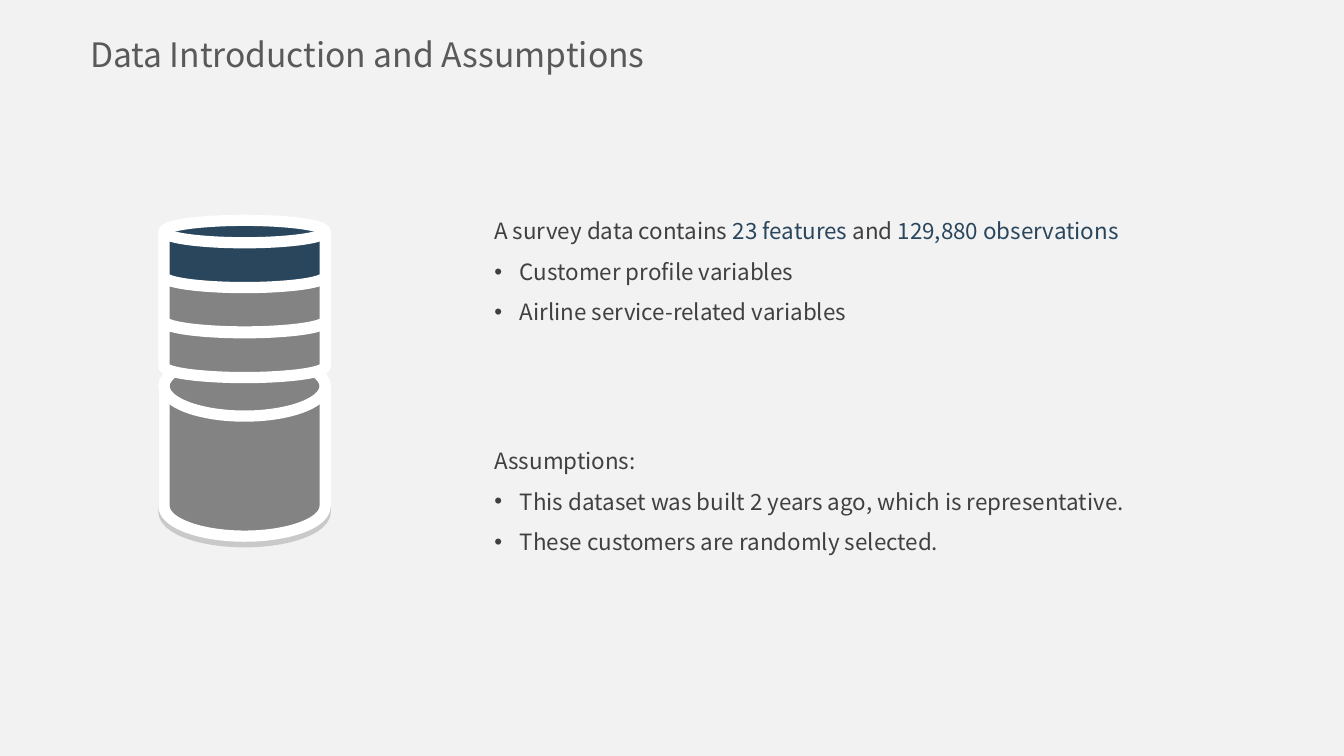
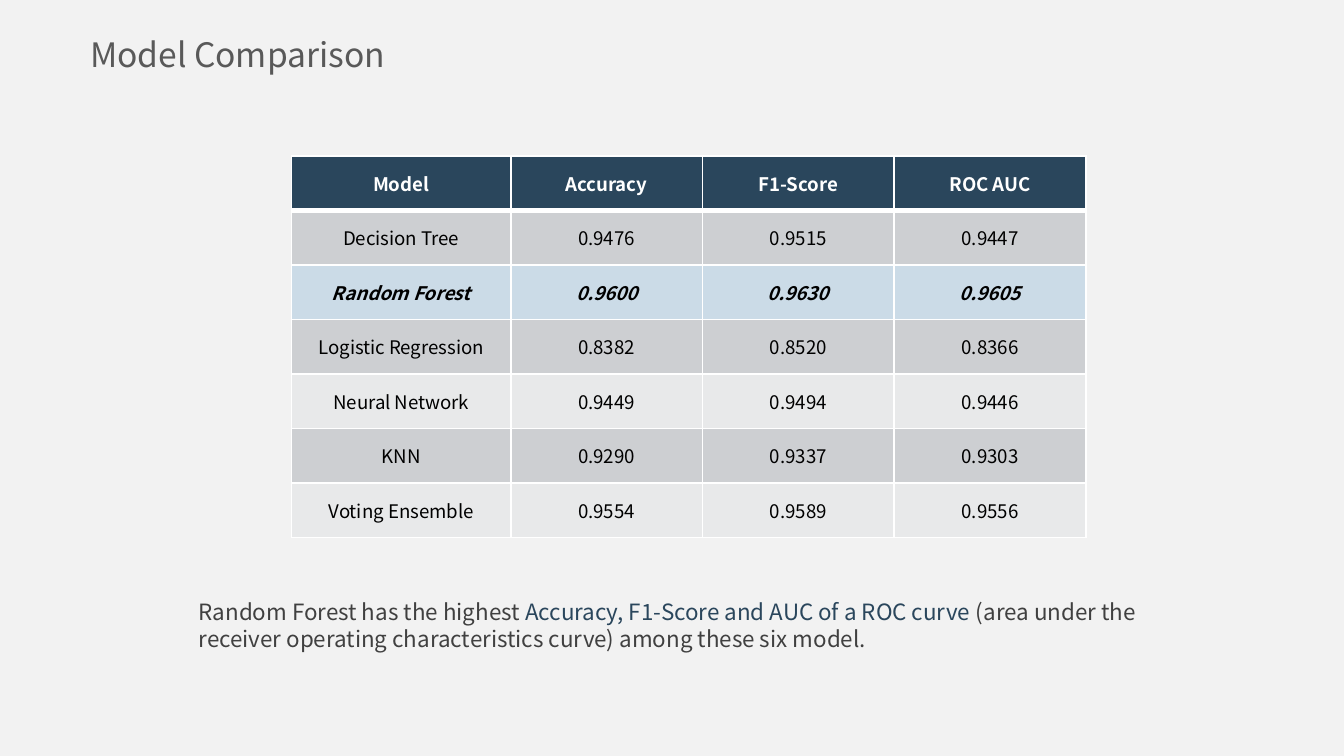
from lxml import etree
from pptx import Presentation
from pptx.dml.color import RGBColor
from pptx.enum.shapes import MSO_SHAPE
from pptx.enum.text import MSO_ANCHOR, PP_ALIGN
from pptx.oxml.ns import qn
from pptx.util import Inches, Pt

DISK = MSO_SHAPE.FLOWCHART_MAGNETIC_DISK
MIDDLE = MSO_ANCHOR.MIDDLE
CENTER = PP_ALIGN.CENTER

FONT = "Noto Sans CJK SC"
PAPER = RGBColor(0xF2, 0xF2, 0xF2)
TITLE_GRAY = RGBColor(0x59, 0x59, 0x59)
TEXT_GRAY = RGBColor(0x40, 0x40, 0x40)
DISK_GRAY = RGBColor(0x83, 0x83, 0x83)
NAVY = RGBColor(0x2A, 0x46, 0x5C)
WHITE = RGBColor(0xFF, 0xFF, 0xFF)
BLACK = RGBColor(0x00, 0x00, 0x00)
BAND_DARK = RGBColor(0xCD, 0xCF, 0xD2)
BAND_LIGHT = RGBColor(0xE8, 0xE9, 0xEA)
BEST_BLUE = RGBColor(0xCB, 0xDB, 0xE7)

DATA_TITLE = "Data Introduction and Assumptions"
# Each paragraph is a list of (words, colour) pieces.
SURVEY_LEAD = [
    ("A survey data contains ", TEXT_GRAY),
    ("23 features ", NAVY),
    ("and ", TEXT_GRAY),
    ("129,880 observations", NAVY),
]
SURVEY_POINTS = ["Customer profile variables", "Airline service-related variables"]
ASSUMPTION_LEAD = [("Assumptions:", TEXT_GRAY)]
ASSUMPTION_POINTS = [
    "This dataset was built 2 years ago, which is representative.",
    "These customers are randomly selected.",
]

MODEL_TITLE = "Model Comparison"
SCORES = [
    ("Model", "Accuracy", "F1-Score", "ROC AUC"),
    ("Decision Tree", "0.9476", "0.9515", "0.9447"),
    ("Random Forest", "0.9600", "0.9630", "0.9605"),
    ("Logistic Regression", "0.8382", "0.8520", "0.8366"),
    ("Neural Network", "0.9449", "0.9494", "0.9446"),
    ("KNN", "0.9290", "0.9337", "0.9303"),
    ("Voting Ensemble", "0.9554", "0.9589", "0.9556"),
]
BEST_MODEL = "Random Forest"
CONCLUSION = [
    ("Random Forest has the highest ", TEXT_GRAY),
    ("Accuracy, F1-Score and AUC of a ROC curve ", NAVY),
    ("(area under the receiver operating characteristics curve) "
     "among these six model.", TEXT_GRAY),
]


def style(font, size, color=None):
    font.name = FONT
    font.size = Pt(size)
    if color is not None:
        font.color.rgb = color


def add_frame(slide, left, top, width, height):
    box = slide.shapes.add_textbox(
        Inches(left), Inches(top), Inches(width), Inches(height))
    box.text_frame.word_wrap = True
    return box.text_frame


def add_titled_slide(prs, title, width):
    slide = prs.slides.add_slide(prs.slide_layouts[6])
    frame = add_frame(slide, 0.67, 0.19, width, 0.42)
    frame.margin_left = frame.margin_right = 0
    frame.vertical_anchor = MIDDLE
    heading = frame.paragraphs[0]
    heading.text = title
    style(heading.font, 18, TITLE_GRAY)
    return slide


def write_pieces(paragraph, pieces):
    style(paragraph.font, 12)
    for words, color in pieces:
        run = paragraph.add_run()
        run.text = words
        run.font.color.rgb = color


def add_bullet(paragraph):
    props = paragraph._p.get_or_add_pPr()
    props.set("marL", str(Inches(0.19)))
    props.set("indent", str(-Inches(0.19)))
    etree.SubElement(props, qn("a:buFont"), typeface="Arial")
    etree.SubElement(props, qn("a:buChar"), char="•")


def add_points(slide, top, height, lead, points):
    """Lead line followed by bulleted points."""
    frame = add_frame(slide, 3.58, top, 5.43, height)
    opening = frame.paragraphs[0]
    write_pieces(opening, lead)
    for point in points:
        item = frame.add_paragraph()
        add_bullet(item)
        write_pieces(item, [(point, TEXT_GRAY)])
    for paragraph in frame.paragraphs:
        paragraph.line_spacing = 1.5


def add_color(parent, color):
    return etree.SubElement(parent, qn("a:srgbClr"), val=str(color))


def add_drop_shadow(shape):
    effects = shape._element.spPr.find(qn("a:effectLst"))
    shadow = etree.SubElement(
        effects, qn("a:outerShdw"), blurRad="0", dist=str(Pt(3)),
        dir="5400000", algn="t", rotWithShape="0")
    etree.SubElement(add_color(shadow, BLACK), qn("a:alpha"), val="16000")


def add_database(slide):
    """Stack of disks, drawn from the base upwards."""
    disks = [(2.65, 1.34, DISK_GRAY), (2.31, 0.5, DISK_GRAY),
             (1.97, 0.5, DISK_GRAY), (1.64, 0.5, NAVY)]
    stack = slide.shapes.add_group_shape()
    for index, (top, height, color) in enumerate(disks):
        disk = stack.shapes.add_shape(
            DISK, Inches(1.22), Inches(top), Inches(1.2), Inches(height))
        disk.fill.solid()
        disk.fill.fore_color.rgb = color
        disk.line.color.rgb = WHITE
        disk.line.width = Pt(6)
        disk.shadow.inherit = False
        if index == 0:
            add_drop_shadow(disk)


def set_borders(cell, top, bottom):
    props = cell._tc.get_or_add_tcPr()
    widths = [("a:lnL", 1), ("a:lnR", 1), ("a:lnT", top), ("a:lnB", bottom)]
    for position, (side, width) in enumerate(widths):
        line = etree.Element(qn(side), w=str(Pt(width)))
        add_color(etree.SubElement(line, qn("a:solidFill")), WHITE)
        props.insert(position, line)


def row_fill(row, model):
    if row == 0:
        return NAVY
    if model == BEST_MODEL:
        return BEST_BLUE
    return BAND_DARK if row % 2 else BAND_LIGHT


def add_scores(slide):
    width, height, model_width = Inches(5.91), Inches(2.84), Inches(1.63)
    score_width = (width - model_width) // (len(SCORES[0]) - 1)
    table = slide.shapes.add_table(
        len(SCORES), len(SCORES[0]), Inches(2.17), Inches(1.16),
        width, height).table
    for index, column in enumerate(table.columns):
        column.width = score_width if index else model_width
    for row, record in enumerate(SCORES):
        table.rows[row].height = height // len(SCORES)
        header, best = row == 0, record[0] == BEST_MODEL
        for col, value in enumerate(record):
            cell = table.cell(row, col)
            cell.fill.solid()
            cell.fill.fore_color.rgb = row_fill(row, record[0])
            set_borders(cell, 3 if row == 1 else 1, 3 if header else 1)
            cell.vertical_anchor = MIDDLE
            paragraph = cell.text_frame.paragraphs[0]
            paragraph.text = value
            paragraph.alignment = CENTER
            style(paragraph.font, 10, WHITE if header else BLACK)
            paragraph.font.bold = header or best
            paragraph.font.italic = best


def main():
    prs = Presentation()
    prs.slide_width = Inches(10)
    prs.slide_height = prs.slide_width * 9 // 16
    backdrop = prs.slide_master.background.fill
    backdrop.solid()
    backdrop.fore_color.rgb = PAPER

    data = add_titled_slide(prs, DATA_TITLE, 4.33)
    add_database(data)
    add_points(data, 1.47, 0.97, SURVEY_LEAD, SURVEY_POINTS)
    add_points(data, 3.18, 1.21, ASSUMPTION_LEAD, ASSUMPTION_POINTS)

    models = add_titled_slide(prs, MODEL_TITLE, 2.33)
    add_scores(models)
    conclusion = add_frame(models, 1.38, 4.4, 7.48, 0.5)
    write_pieces(conclusion.paragraphs[0], CONCLUSION)

    prs.save("out.pptx")


if __name__ == "__main__":
    main()
